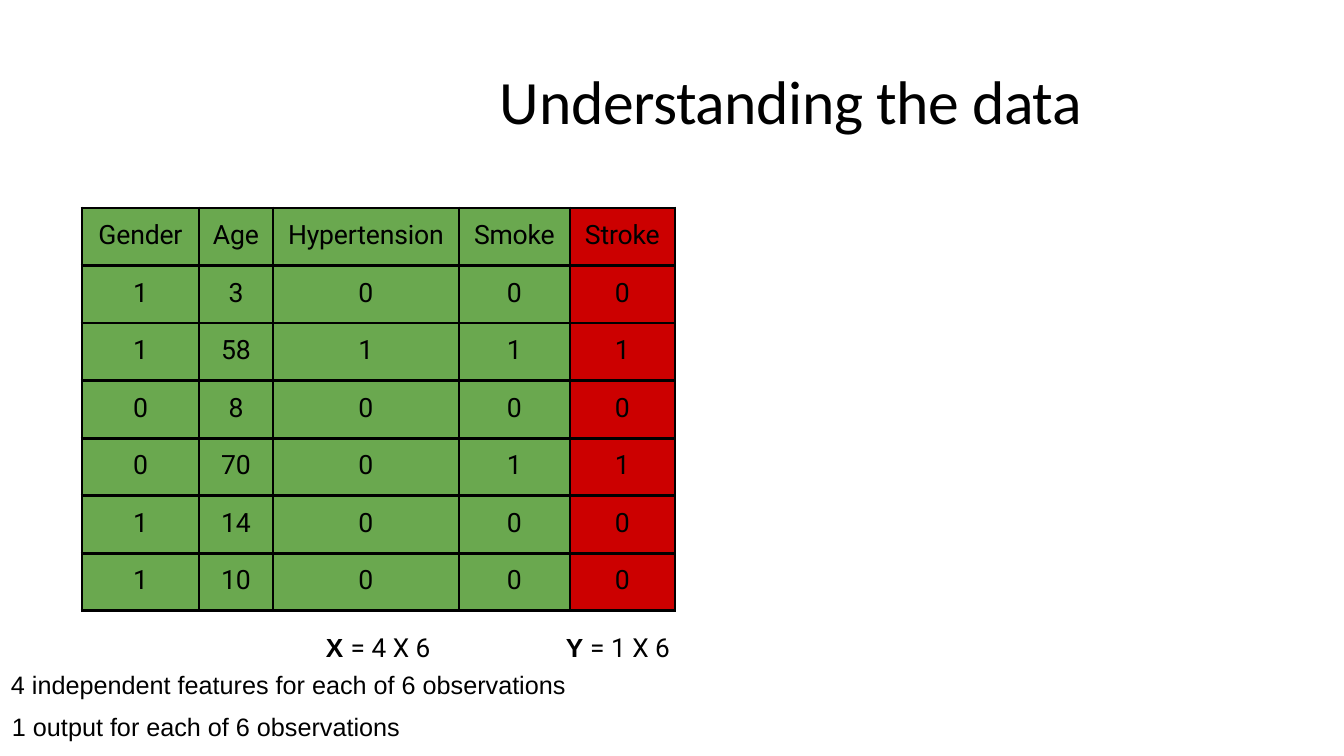
"""Build the slide that explains the features and the output of the stroke data."""
import pptx
import pptx.dml.color
import pptx.enum.text
import pptx.oxml
import pptx.oxml.ns
import pptx.util

PX = 914400 / 100.8
THEME = {
    "ink": "000000", "feature": "6AA84F", "output": "CC0000",
    "title_font": "Calibri", "table_font": "Roboto", "note_font": "Arial",
    "title_size": 44, "table_size": 19, "size_note": 18.7, "note_size": 18,
    "border": 2.25,
}


def px(length):
    return pptx.util.Emu(round(length * PX))


def add_run(paragraph, text, font, size, bold=False, spacing=0):
    run = paragraph.add_run()
    run.text = text
    formats = {"name": font, "size": pptx.util.Pt(size), "bold": bold}
    for attribute, value in formats.items():
        setattr(run.font, attribute, value)
    run.font.color.rgb = pptx.dml.color.RGBColor.from_string(THEME["ink"])
    if spacing:
        run._r.get_or_add_rPr().set("spc", str(spacing))


presentation = pptx.Presentation()
presentation.slide_width, presentation.slide_height = px(1344), px(756)
slide = presentation.slides.add_slide(presentation.slide_layouts[5])

heading = slide.shapes.title
title_place = {"left": px(123), "top": px(38), "width": px(983), "height": px(99)}
for attribute, value in title_place.items():
    setattr(heading, attribute, value)
title_format = {
    "margin_left": px(377), "margin_top": px(24), "margin_right": 0, "margin_bottom": 0,
    "word_wrap": True, "auto_size": pptx.enum.text.MSO_AUTO_SIZE.NONE,
    "vertical_anchor": pptx.enum.text.MSO_ANCHOR.MIDDLE,
}
for attribute, value in title_format.items():
    setattr(heading.text_frame, attribute, value)
heading_line = heading.text_frame.paragraphs[0]
heading_line.alignment = pptx.enum.text.PP_ALIGN.LEFT
add_run(heading_line, "Understanding the data", THEME["title_font"],
        THEME["title_size"], spacing=-30)

observations = [
    ["Gender", "Age", "Hypertension", "Smoke", "Stroke"],
    [1, 3, 0, 0, 0],
    [1, 58, 1, 1, 1],
    [0, 8, 0, 0, 0],
    [0, 70, 0, 1, 1],
    [1, 14, 0, 0, 0],
    [1, 10, 0, 0, 0],
]
column_widths = [117, 74, 186, 111, 105]
table_height = 403
data = slide.shapes.add_table(
    len(observations), len(column_widths),
    px(82), px(208), px(sum(column_widths)), px(table_height)).table
data.first_row = data.horz_banding = False
for column, width in zip(data.columns, column_widths):
    column.width = px(width)
for row in data.rows:
    row.height = px(table_height / len(observations))

cell_margins = {"margin_left": 0, "margin_top": px(12), "margin_right": 0, "margin_bottom": 0}
for row_index, record in enumerate(observations):
    for column_index, entry in enumerate(record):
        cell = data.cell(row_index, column_index)
        for attribute, value in cell_margins.items():
            setattr(cell, attribute, value)
        entry_line = cell.text_frame.paragraphs[0]
        entry_line.alignment = pptx.enum.text.PP_ALIGN.CENTER
        add_run(entry_line, str(entry), THEME["table_font"], THEME["table_size"],
                spacing=-20 if row_index else -10)
        for side in "LRTB":
            cell._tc.get_or_add_tcPr().append(pptx.oxml.parse_xml(
                f'<a:ln{side} {pptx.oxml.ns.nsdecls("a")} w="{pptx.util.Pt(THEME["border"])}">'
                f'<a:solidFill><a:srgbClr val="{THEME["ink"]}"/></a:solidFill></a:ln{side}>'))
        role = "output" if record[column_index + 1:] == [] else "feature"
        cell.fill.solid()
        cell.fill.fore_color.rgb = pptx.dml.color.RGBColor.from_string(THEME[role])

matrix_style = (THEME["table_font"], THEME["size_note"])
note_style = (THEME["note_font"], THEME["note_size"])
captions = [
    ((324, 629, 112, 33), (2, 2), "X ", "= 4 X 6", matrix_style),
    ((564, 629, 112, 33), (2, 2), "Y ", "= 1 X 6", matrix_style),
    ((0, 664, 672, 40), (11, 5), "", "4 independent features for each of 6 observations", note_style),
    ((0, 706, 672, 40), (12, 5), "", "1 output for each of 6 observations", note_style),
]
for place, (inset_left, inset_top), symbol, wording, style in captions:
    caption = slide.shapes.add_textbox(*map(px, place)).text_frame
    caption_format = {
        "margin_left": px(inset_left), "margin_top": px(inset_top),
        "margin_right": 0, "margin_bottom": 0, "word_wrap": True,
    }
    for attribute, value in caption_format.items():
        setattr(caption, attribute, value)
    if symbol:
        add_run(caption.paragraphs[0], symbol, THEME["note_font"], THEME["size_note"], bold=True)
    add_run(caption.paragraphs[0], wording, *style)

presentation.save("out.pptx")
